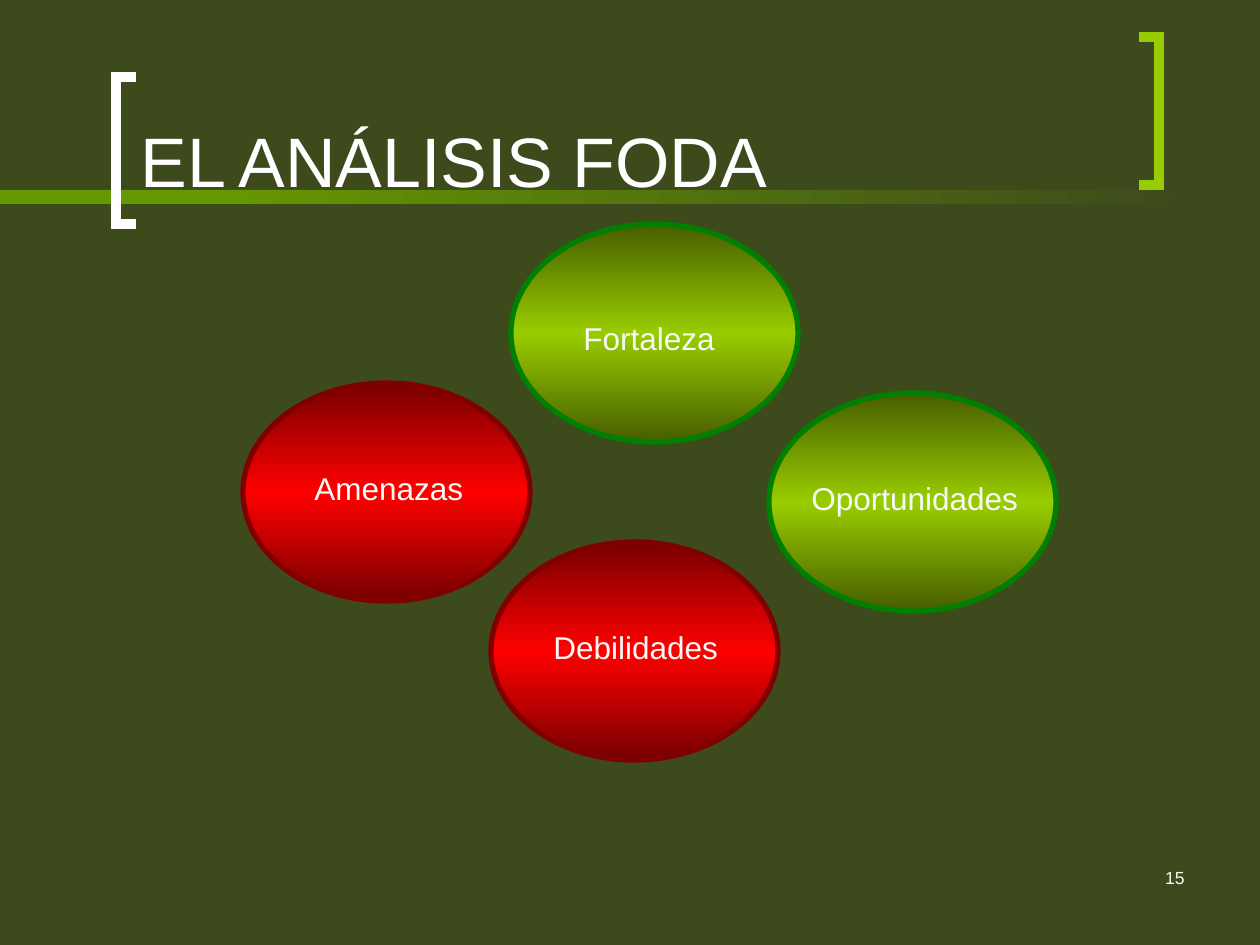
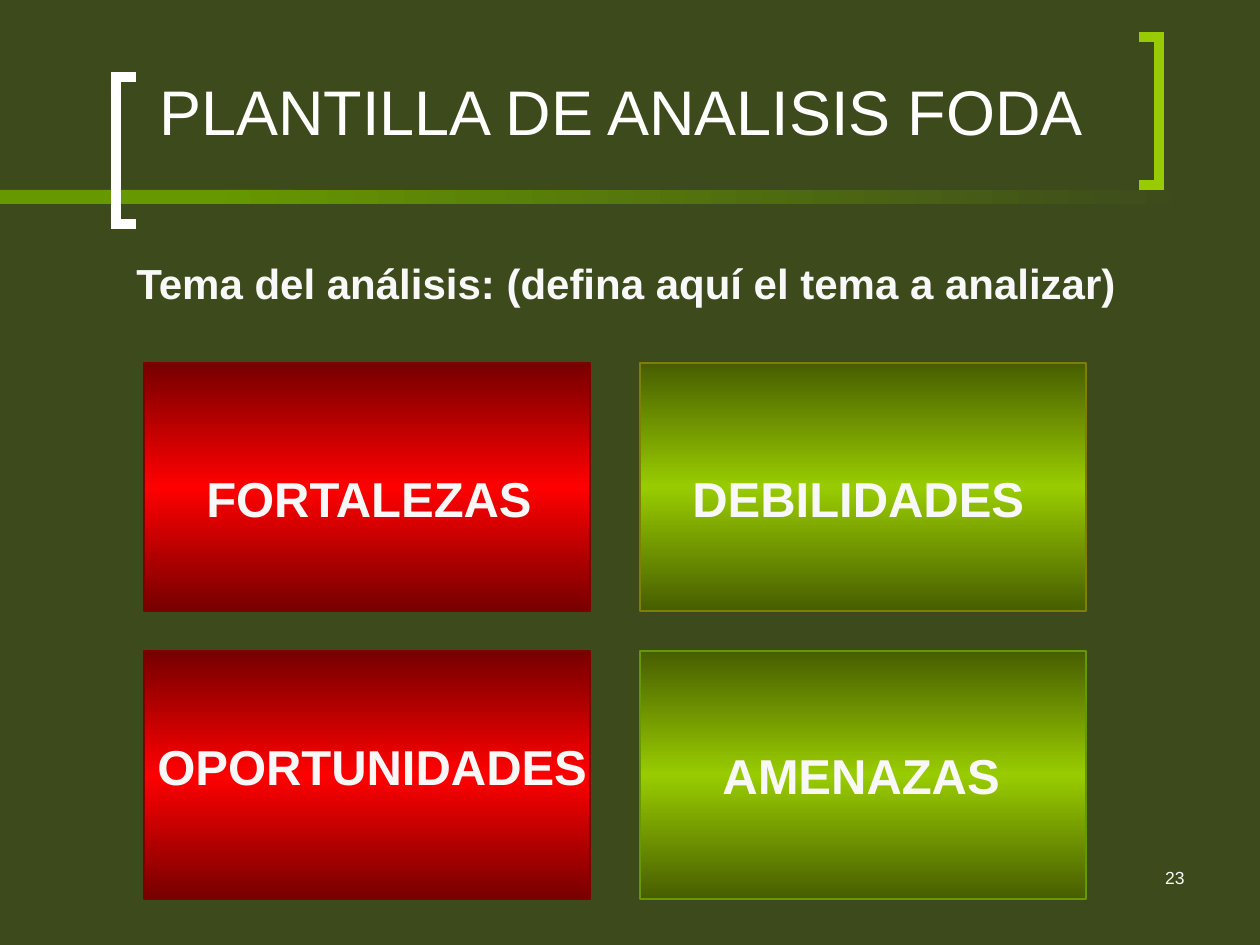
import pptx
import pptx.dml.color
import pptx.enum.shapes
import pptx.enum.text
import pptx.oxml
import pptx.oxml.ns
import pptx.util
import lxml.etree

PX = 914400 / 126
FONT = "Arial"
OLIVE, LEAF, LIME = "3D4A1C", "669900", "99CC00"
WHITE, OFF_WHITE = "FFFFFF", "F8F8F8"
GREEN_GLOW = ["475E00", LIME, "475E00"]
RED_GLOW = ["760000", "FF0000", "760000"]
MAROON, GREEN, KHAKI = "800000", "008000", "808000"

KIND = pptx.enum.shapes.MSO_SHAPE
ALIGN = pptx.enum.text.PP_ALIGN
ANCHOR = pptx.enum.text.MSO_ANCHOR
FIT = pptx.enum.text.MSO_AUTO_SIZE
rgb = pptx.dml.color.RGBColor.from_string


def add_filled(shapes, kind, frame, colours, angle=90, outline=None, width=0):
    """Add a shape in a px frame, filled with evenly spaced gradient colours."""
    shape = shapes.add_shape(kind, *[round(length * PX) for length in frame])
    shape.shadow.inherit = False
    if len(colours) == 1:
        shape.fill.solid()
        shape.fill.fore_color.rgb = rgb(colours[0])
    else:
        shape.fill.gradient()
        shape.fill.gradient_angle = angle
        stops = shape.element.spPr.find(".//" + pptx.oxml.ns.qn("a:gsLst"))
        for stop in list(stops):
            stops.remove(stop)
        for index, colour in enumerate(colours):
            position = 100000 * index // (len(colours) - 1)
            stop = lxml.etree.SubElement(stops, pptx.oxml.ns.qn("a:gs"), pos=str(position))
            lxml.etree.SubElement(stop, pptx.oxml.ns.qn("a:srgbClr"), val=colour)
    if outline:
        shape.line.color.rgb = rgb(outline)
        shape.line.width = pptx.util.Pt(width)
    else:
        shape.line.fill.background()


def add_text(shapes, frame, text, size, colour=OFF_WHITE, bold=False,
             align=ALIGN.LEFT, anchor=ANCHOR.TOP, wrap=False):
    """Add one line of text in a px frame; an unwrapped box grows to fit it."""
    box = shapes.add_textbox(*[round(length * PX) for length in frame])
    box.text_frame.word_wrap = wrap
    box.text_frame.auto_size = FIT.NONE if wrap else FIT.SHAPE_TO_FIT_TEXT
    box.text_frame.vertical_anchor = anchor
    para = box.text_frame.paragraphs[0]
    para.text = text
    para.alignment = align
    para.font.name = FONT
    para.font.size = pptx.util.Pt(size)
    para.font.bold = bold
    para.font.color.rgb = rgb(colour)


deck = pptx.Presentation()
deck.slide_width = pptx.util.Inches(10)
deck.slide_height = pptx.util.Inches(7.5)
deck.slide_master.background.fill.solid()
deck.slide_master.background.fill.fore_color.rgb = rgb(OLIVE)

# Bands, brackets, title and page number
brackets = [
    ([(136, 224), (116, 224), (116, 77), (136, 77)], WHITE),
    ([(1139, 37), (1159, 37), (1159, 185), (1139, 185)], LIME),
]
headings = [
    ("EL ANÁLISIS FODA", 40, ALIGN.LEFT, ANCHOR.BOTTOM, "15"),
    ("PLANTILLA DE ANALISIS FODA", 36, ALIGN.CENTER, ANCHOR.MIDDLE, "23"),
]
pages = []
for title, size, align, anchor, number in headings:
    page = deck.slides.add_slide(deck.slide_layouts[6])
    pages.append(page)
    add_filled(page.shapes, KIND.RECTANGLE, (0, 190, 294, 14), [LEAF])
    add_filled(page.shapes, KIND.RECTANGLE, (199, 190, 998, 14), [LEAF, OLIVE], angle=0)
    for points, colour in brackets:
        builder = page.shapes.build_freeform(*points[0], scale=PX)
        builder.add_line_segments(points[1:], close=False)
        bracket = builder.convert_to_shape()
        bracket.shadow.inherit = False
        bracket.fill.background()
        bracket.line.color.rgb = rgb(colour)
        bracket.line.width = pptx.util.Pt(6)
        outline = bracket.element.spPr.find(pptx.oxml.ns.qn("a:ln"))
        lxml.etree.SubElement(outline, pptx.oxml.ns.qn("a:miter"), lim="800000")
    add_text(page.shapes, (128, 13, 987, 195), title, size, WHITE,
             align=align, anchor=anchor, wrap=True)
    add_text(page.shapes, (903, 861, 294, 66), number, 10, align=ALIGN.RIGHT, wrap=True)

# Four ovals
ovals = [
    (511, 224, GREEN_GLOW, GREEN),
    (243, 383, RED_GLOW, MAROON),
    (491, 542, RED_GLOW, MAROON),
    (769, 393, GREEN_GLOW, GREEN),
]
oval_labels = [
    ("Fortaleza", 571, 313, 169),
    ("Amenazas", 302, 463, 179),
    ("Debilidades", 541, 622, 198),
    ("Oportunidades", 799, 473, 238),
]
cycle = pages[0].shapes.add_group_shape().shapes
for left, top, glow, outline in ovals:
    add_filled(cycle, KIND.OVAL, (left, top, 287, 218), glow, outline=outline, width=3)
for label, left, top, width in oval_labels:
    add_text(cycle, (left, top, width, 50), label, 18)

# Two by two template
outlines = [[MAROON, MAROON], [KHAKI, LEAF]]
quadrant_labels = [
    ("FORTALEZAS", 194, 462, 354),
    ("DEBILIDADES", 680, 462, 357),
    ("OPORTUNIDADES", 145, 730, 455),
    ("AMENAZAS", 710, 739, 306),
]
matrix = pages[1].shapes.add_group_shape().shapes
for column, glow in enumerate([RED_GLOW, GREEN_GLOW]):
    for row in range(2):
        frame = (144 + 496 * column, 363 + 288 * row, 446, 248)
        add_filled(matrix, KIND.RECTANGLE, frame, glow,
                   outline=outlines[column][row], width=0.75)
for label, left, top, width in quadrant_labels:
    add_text(matrix, (left, top, width, 72), label, 28, bold=True)
add_text(pages[1].shapes, (124, 251, 1019, 63),
         "Tema del análisis: (defina aquí el tema a analizar)", 24, bold=True)

deck.save("out.pptx")
